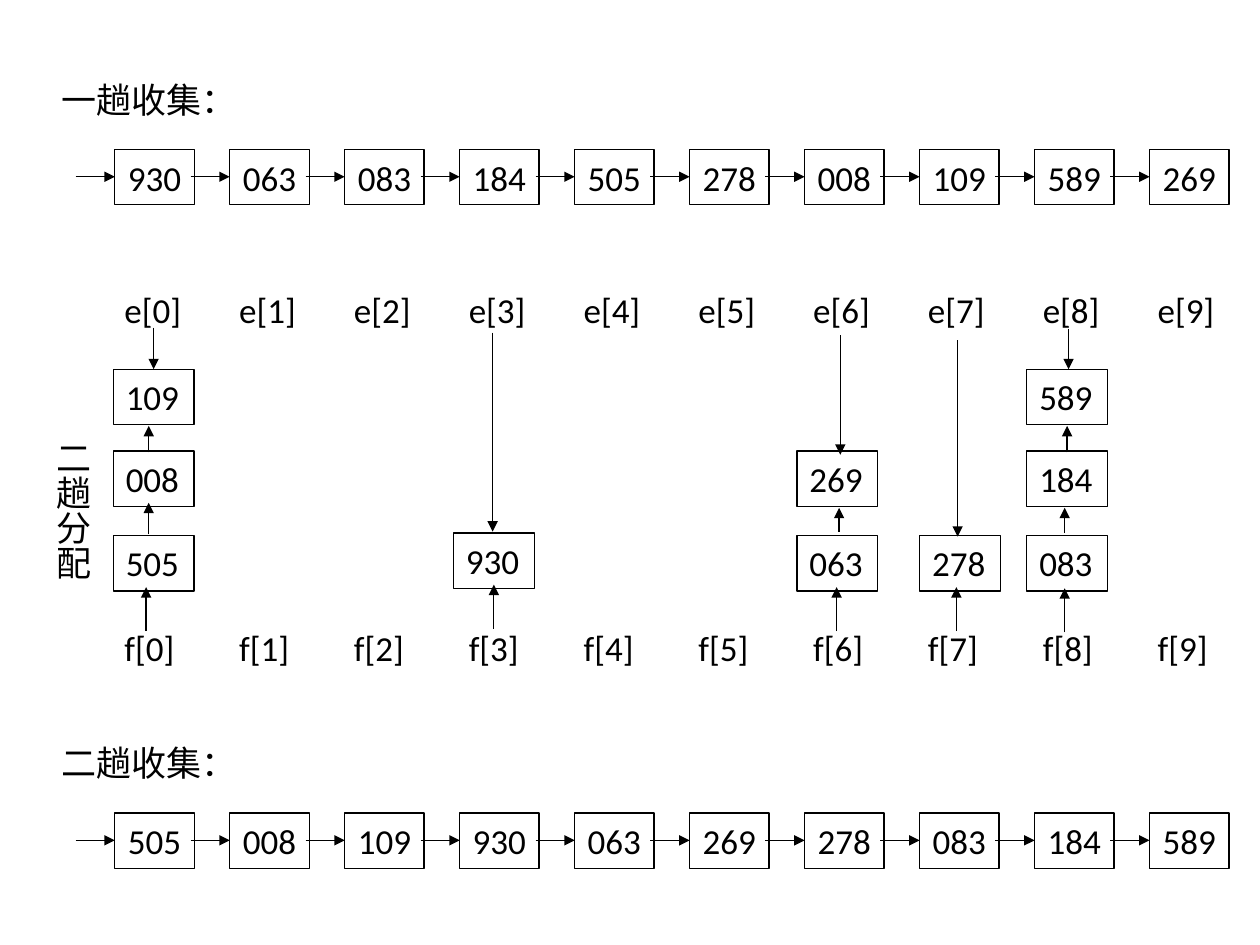
"""Draw the collect and distribute passes of a radix sort on one slide."""
from lxml import etree
from pptx import Presentation
from pptx.dml import color
from pptx.enum import shapes, text
from pptx.oxml import ns
from pptx.util import Pt

INK = {"line": "000000", "text": "000000"}
FONT, SIZE = "Calibri", 20
LEFT, STEP = 65.6, 65.7
FIRST = "930 063 083 184 505 278 008 109 589 269".split()
SECOND = "505 008 109 930 063 269 278 083 184 589".split()

# Each bucket: left edge, (top, key) boxes, (x, start, end) arrows.
BUCKETS = [
    (64.8, [(306, "505"), (257.8, "008"), (211, "109")],
     [(83.5, 360.7, 335.5), (85, 305.3, 287.3),
      (85, 258.5, 243.4), (87.8, 187.2, 211)]),
    (259.2, [(304.6, "930")],
     [(282.2, 359.3, 334.1), (281.5, 190.1, 303.8)]),
    (455.4, [(306, "063"), (257.8, "269")],
     [(478.1, 360.7, 335.5), (479.5, 303.8, 290.2), (480.2, 191.5, 259.9)]),
    (525.6, [(306, "278")],
     [(546.5, 360.7, 335.5), (547.2, 194.4, 306.7)]),
    (586.8, [(306, "083"), (257.8, "184"), (211, "589")],
     [(608.4, 361.4, 336.2), (608.4, 304.6, 290.2),
      (609.8, 258.5, 243.4), (610.6, 187.9, 211)]),
]


def rgb(key):
    """Return the named colour."""
    return color.RGBColor.from_string(INK[key])


def write(frame, words, align, wrap):
    """Put one styled paragraph into a text frame."""
    frame.word_wrap = wrap
    para = frame.paragraphs[0]
    para.text = words
    para.alignment = align
    para.font.name = FONT
    para.font.size = Pt(SIZE)
    para.font.color.rgb = rgb("text")


def box(slide, x, y, wide, key, chain):
    """Draw an outlined box that holds one key."""
    rect = slide.shapes.add_shape(
        shapes.MSO_SHAPE.RECTANGLE, Pt(x), Pt(y), Pt(wide), Pt(31.7))
    rect.shadow.inherit = False
    rect.fill.background()
    rect.line.color.rgb = rgb("line")
    rect.line.width = Pt(0.75)
    align = text.PP_ALIGN.CENTER if chain else text.PP_ALIGN.LEFT
    write(rect.text_frame, key, align, not chain)
    rect.text_frame.vertical_anchor = (
        text.MSO_ANCHOR.MIDDLE if chain else text.MSO_ANCHOR.TOP)


def arrow(slide, x1, y1, x2, y2):
    """Draw a thin line with a triangle at its end."""
    link = slide.shapes.add_connector(
        shapes.MSO_CONNECTOR.STRAIGHT, Pt(x1), Pt(y1), Pt(x2), Pt(y2))
    link.line.color.rgb = rgb("line")
    link.line.width = Pt(0.75)
    etree.SubElement(link.line._get_or_add_ln(), ns.qn("a:tailEnd"),
                     type="triangle")
    etree.SubElement(link._element.spPr, ns.qn("a:effectLst"))


def label(slide, x, y, wide, high, words, upright=False):
    """Add a plain text label, set in a column if upright."""
    note = slide.shapes.add_textbox(Pt(x), Pt(y), Pt(wide), Pt(high))
    frame = note.text_frame
    write(frame, words, text.PP_ALIGN.LEFT, False)
    frame.auto_size = text.MSO_AUTO_SIZE.SHAPE_TO_FIT_TEXT
    if upright:
        frame._txBody.bodyPr.set("vert", "eaVert")


def chain(slide, title, top, keys):
    """Draw a titled row of linked keys."""
    label(slide, 28.1, top - 44.3, 120.2, 31, title)
    for i, key in enumerate(keys):
        x = LEFT + i * STEP
        box(slide, x, top, 45.4, key, True)
        arrow(slide, x - 22.4, top + 15.6, x, top + 15.6)


def bucket(slide, left, stack, links):
    """Draw one bucket of stacked keys with its arrows."""
    for top, key in stack:
        box(slide, left, top, 46.1, key, False)
    for x, start, end in links:
        arrow(slide, x, start, x, end)


def main():
    """Build and save the slide."""
    deck = Presentation()
    deck.slide_width, deck.slide_height = Pt(720), Pt(540)
    slide = deck.slides.add_slide(deck.slide_layouts[6])
    chain(slide, "一趟收集：", 85.4, FIRST)
    for name, top, wide in (("e", 161.3, 46.8), ("f", 354.2, 44.6)):
        for i in range(10):
            label(slide, 64 + i * 65.6, top, wide, 31, f"{name}[{i}]")
    label(slide, 18.7, 244.8, 38.2, 91.4, "二趟分配", upright=True)
    for left, stack, links in BUCKETS:
        bucket(slide, left, stack, links)
    chain(slide, "二趟收集：", 464.6, SECOND)
    deck.save("out.pptx")


if __name__ == "__main__":
    main()
